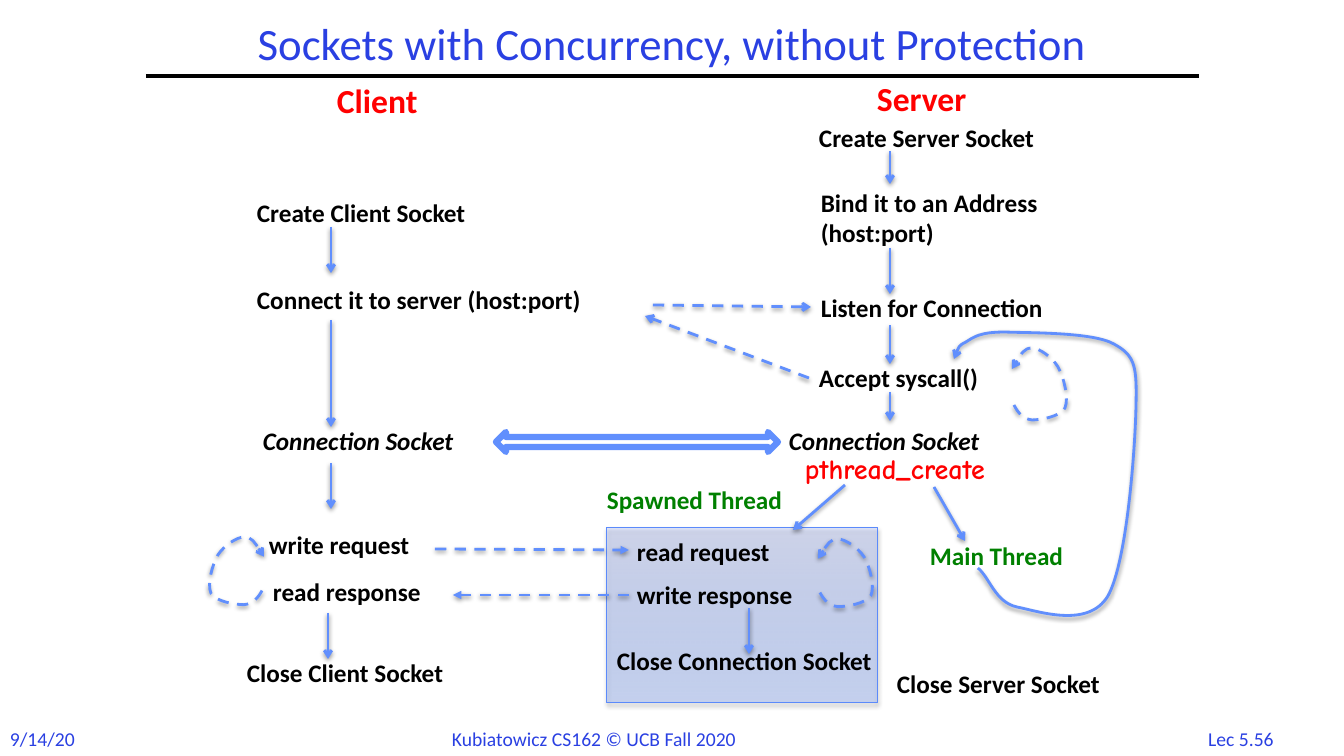
from dataclasses import dataclass
from lxml import etree
from pptx import Presentation
from pptx.dml.color import RGBColor
from pptx.enum.dml import MSO_LINE
from pptx.enum.shapes import MSO_CONNECTOR, MSO_SHAPE
from pptx.enum.text import MSO_ANCHOR, MSO_AUTO_SIZE, PP_ALIGN
from pptx.oxml.ns import qn
from pptx.util import Emu, Pt

STRAIGHT = MSO_CONNECTOR.STRAIGHT
DASH = MSO_LINE.DASH
CENTER, LEFT = PP_ALIGN.CENTER, PP_ALIGN.LEFT
PX = 914400 / 100.8


@dataclass(frozen=True)
class Theme:
    font: str = "Calibri"
    code_font: str = "Comic Neue"
    title: int = 32
    heading: int = 24
    code: int = 20
    body: int = 18
    footer: int = 14
    blue: str = "2A40E2"
    red: str = "FF0000"
    green: str = "008000"
    black: str = "000000"
    white: str = "FFFFFF"
    flow: str = "618FFD"
    panel_edge: str = "5B8AFB"
    panel_start: str = "5F8EFF"
    panel_end: str = "C4D0FF"


THEME = Theme()

TITLE = ("Sockets with Concurrency, without Protection", (146, 17, 1052, 58))
RULE = ((146, 76), (1199, 76))
PANEL = (607, 528, 271, 175)
CHANNEL = (496, 432, 282, 20)

FOOTERS = [
    ("9/14/20", (0, 722, 86, 34), LEFT),
    ("Kubiatowicz CS162 © UCB Fall 2020", (442, 722, 346, 34), LEFT),
    ("Lec 5.56", (1192, 722, 98, 34), CENTER),
]
HEADINGS = [("Client", (327, 75, 115, 50)), ("Server", (867, 73, 131, 50))]
STEPS = [
    ("Create Client Socket", (247, 192, 268, 40)),
    ("Connect it to server (host:port)", (247, 279, 395, 40)),
    ("Create Server Socket", (809, 117, 276, 40)),
    ("Bind it to an Address\n(host:port)", (811, 182, 282, 72)),
    ("Listen for Connection", (811, 287, 282, 40)),
    ("Accept syscall()", (809, 357, 215, 40)),
    ("write request", (259, 524, 178, 40)),
    ("read response", (263, 571, 193, 40)),
    ("Close Client Socket", (237, 652, 259, 40)),
    ("read request", (627, 531, 178, 40)),
    ("write response", (627, 574, 201, 40)),
    ("Close Connection Socket", (607, 640, 296, 72)),
    ("Close Server Socket", (887, 663, 272, 40)),
]
SOCKETS = [("Connection Socket", (253, 420, 251, 40)),
           ("Connection Socket", (779, 420, 251, 40))]
THREADS = [("Spawned Thread", (597, 479, 224, 40)),
           ("Main Thread", (920, 535, 170, 40))]
PTHREAD = ("pthread_create", (795, 447, 243, 44))

SOLID_ARROWS = [
    ((331, 227), (331, 273)),
    ((331, 320), (331, 427)),
    ((331, 463), (331, 509)),
    ((328, 613), (328, 659)),
    ((890, 151), (890, 184)),
    ((890, 248), (890, 294)),
    ((890, 325), (890, 364)),
    ((890, 392), (890, 421)),
    ((845, 485), (793, 530)),
    ((934, 487), (965, 541)),
    ((749, 608), (749, 654)),
]
DASHED_ARROWS = [
    ((653, 305), (811, 307), "arrow"),
    ((809, 378), (645, 316), "arrow"),
    ((435, 549), (629, 550), "triangle"),
    ((629, 595), (453, 595), "triangle"),
]
MAIN_LOOP = [
    (978, 568), (990, 578), (995, 602), (1017, 607),
    (1038, 611), (1088, 629), (1108, 596),
    (1127, 562), (1135, 451), (1136, 409),
    (1137, 367), (1136, 356), (1114, 344),
    (1093, 332), (1029, 333), (1005, 332),
    (980, 332), (974, 337), (966, 342),
    (958, 346), (956, 353), (954, 359),
]
MAIN_LOOP_SIZE = (182, 283)
SMALL_LOOP = [
    (2, 57), (6, 65), (11, 71), (20, 72), (28, 72), (48, 69), (53, 60),
    (57, 50), (52, 30), (46, 19), (40, 9), (27, 0), (20, 0),
    (12, 0), (6, 11), (0, 21),
]
SMALL_LOOP_SIZE = (54, 72)
LOOP_PLACES = [(1012, 348, False, 1), (818, 539, False, 0.94), (210, 537, True, 0.94)]


def emu(*lengths):
    return [Emu(round(length * PX)) for length in lengths]


def color(name):
    return RGBColor.from_string(name)


def add_effects(item, blur=None, distance=None, alpha=None):
    properties = item._element.spPr
    for old in properties.findall(qn("a:effectLst")):
        properties.remove(old)
    effects = etree.SubElement(properties, qn("a:effectLst"))
    if blur:
        shadow = etree.SubElement(effects, qn("a:outerShdw"), blurRad=str(blur),
                                  dist=str(distance), dir="5400000", rotWithShape="0")
        tint = etree.SubElement(shadow, qn("a:srgbClr"), val=THEME.black)
        etree.SubElement(tint, qn("a:alpha"), val=str(alpha))


def style_flow(item, dashed=False, head="arrow"):
    item.line.color.rgb = color(THEME.flow)
    item.line.width = Pt(2)
    if dashed:
        item.line.dash_style = DASH
    etree.SubElement(item.line._get_or_add_ln(), qn("a:tailEnd"), type=head)
    add_effects(item, 40000, 20000, 38000)


def add_arrow(page, start, end, dashed=False, head="arrow"):
    style_flow(page.shapes.add_connector(STRAIGHT, *emu(*start, *end)), dashed, head)


def add_curve(page, controls, size, dashed=False, mirrored=False):
    points = [emu(*point) for point in controls]
    builder = page.shapes.build_freeform(*points[0])
    builder.add_line_segments(points[1:], close=False)
    curve = builder.convert_to_shape()
    outline = next(curve._element.iter(qn("a:path")))
    segments = outline.findall(qn("a:lnTo"))
    for first in range(0, len(segments), 3):
        bend = etree.SubElement(outline, qn("a:cubicBezTo"))
        for segment in segments[first:first + 3]:
            bend.append(segment[0])
            outline.remove(segment)
    curve.width, curve.height = emu(*size)
    outline.set("w", str(curve.width))
    outline.set("h", str(curve.height))
    if mirrored:
        curve._element.spPr.find(qn("a:xfrm")).set("flipH", "1")
    curve.fill.background()
    style_flow(curve, dashed)


def format_para(para, size, tint, bold=False, italic=False, font=THEME.font):
    para.font.name = font
    para.font.size = Pt(size)
    para.font.color.rgb = color(tint)
    para.font.bold = bold
    para.font.italic = italic


def add_label(page, text, place, size, tint, bold=True, italic=False,
              font=THEME.font, align=LEFT):
    box = page.shapes.add_textbox(*emu(*place))
    frame = box.text_frame
    frame.text = text
    frame.word_wrap = False
    frame.auto_size = MSO_AUTO_SIZE.SHAPE_TO_FIT_TEXT
    for para in frame.paragraphs:
        para.alignment = align
        format_para(para, size, tint, bold, italic, font)


def add_title(page):
    text, place = TITLE
    title = page.shapes.title
    title.left, title.top, title.width, title.height = emu(*place)
    title.text_frame.text = text
    title.text_frame.vertical_anchor = MSO_ANCHOR.MIDDLE
    para = title.text_frame.paragraphs[0]
    para.alignment = CENTER
    para.line_spacing = 0.9
    format_para(para, THEME.title, THEME.blue)


def add_panel(page):
    panel = page.shapes.add_shape(MSO_SHAPE.RECTANGLE, *emu(*PANEL))
    panel.fill.gradient()
    panel.fill.gradient_angle = 90
    stops = zip(panel.fill.gradient_stops, (THEME.panel_start, THEME.panel_end),
                (26000, 46000))
    for position, (stop, tint, alpha) in enumerate(stops):
        stop.position = position
        stop.color.rgb = color(tint)
        etree.SubElement(stop._gs.find(qn("a:srgbClr")), qn("a:alpha"), val=str(alpha))
    panel.line.color.rgb = color(THEME.panel_edge)
    panel.line.width = Pt(0.75)
    add_effects(panel, 40000, 23000, 35000)


def add_channel(page):
    channel = page.shapes.add_shape(MSO_SHAPE.LEFT_RIGHT_ARROW, *emu(*CHANNEL))
    channel.shadow.inherit = False
    channel.fill.solid()
    channel.fill.fore_color.rgb = color(THEME.white)
    channel.line.color.rgb = color(THEME.flow)
    channel.line.width = Pt(4.5)


def main():
    deck = Presentation()
    deck.slide_width, deck.slide_height = emu(1344, 756)
    page = deck.slides.add_slide(deck.slide_layouts[5])
    add_title(page)
    rule = page.shapes.add_connector(STRAIGHT, *emu(*RULE[0], *RULE[1]))
    rule.line.color.rgb = color(THEME.black)
    rule.line.width = Pt(3)
    add_effects(rule)
    add_panel(page)
    add_channel(page)
    for start, end in SOLID_ARROWS:
        add_arrow(page, start, end)
    for start, end, head in DASHED_ARROWS:
        add_arrow(page, start, end, True, head)
    add_curve(page, MAIN_LOOP, MAIN_LOOP_SIZE)
    width, height = SMALL_LOOP_SIZE
    for left, top, mirrored, stretch in LOOP_PLACES:
        controls = [(left + x, top + stretch * y) for x, y in SMALL_LOOP]
        add_curve(page, controls, (width, height * stretch), True, mirrored)
    for text, place, align in FOOTERS:
        add_label(page, text, place, THEME.footer, THEME.blue, bold=False, align=align)
    for labels, size, tint, italic in (
            (HEADINGS, THEME.heading, THEME.red, False),
            (STEPS, THEME.body, THEME.black, False),
            (SOCKETS, THEME.body, THEME.black, True),
            (THREADS, THEME.body, THEME.green, False)):
        for text, place in labels:
            add_label(page, text, place, size, tint, italic=italic)
    add_label(page, *PTHREAD, THEME.code, THEME.red, font=THEME.code_font)
    deck.save("out.pptx")


if __name__ == "__main__":
    main()
